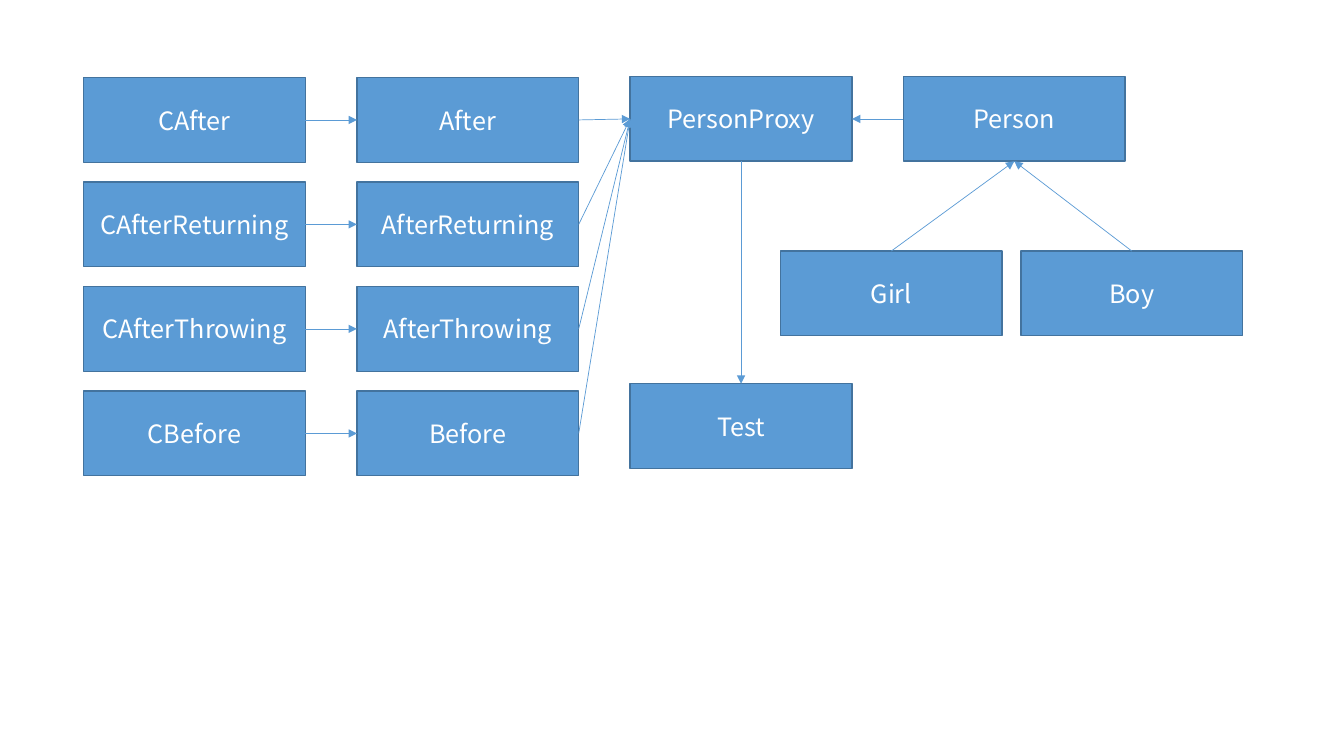
from dataclasses import dataclass

from pptx import Presentation
from pptx.dml.color import RGBColor
from pptx.enum.shapes import MSO_CONNECTOR, MSO_SHAPE
from pptx.enum.text import MSO_ANCHOR, PP_ALIGN
from pptx.oxml.ns import qn
from pptx.shapes.autoshape import Shape
from pptx.slide import Slide
from pptx.util import Inches, Pt
from lxml import etree

RECTANGLE = MSO_SHAPE.RECTANGLE
STRAIGHT = MSO_CONNECTOR.STRAIGHT
MIDDLE = MSO_ANCHOR.MIDDLE
CENTER = PP_ALIGN.CENTER

# Connection sites of a rectangle
TOP, LEFT, BOTTOM, RIGHT = range(4)


@dataclass(frozen=True)
class Theme:
    """Colours, font and sizes of the diagram."""
    box_fill: RGBColor = RGBColor.from_string("5B9BD5")
    box_line: RGBColor = RGBColor.from_string("43739E")
    arrow: RGBColor = RGBColor.from_string("5B9BD5")
    text: RGBColor = RGBColor.from_string("FFFFFF")
    font: str = "Noto Sans CJK KR"
    text_size: Pt = Pt(18)
    box_line_width: Pt = Pt(1)
    arrow_width: Pt = Pt(0.5)


@dataclass(frozen=True)
class Grid:
    """Four columns and four rows of equal boxes, in inches."""
    left: float = 0.83
    top: float = 0.77
    column_step: float = 2.71
    row_step: float = (3.88 - 0.77) / 3
    box_width: float = 2.2
    box_height: float = 0.84


@dataclass(frozen=True)
class ClassBox:
    """A class name at a grid place; fractions lie between grid lines."""
    name: str
    column: float
    row: float


@dataclass(frozen=True)
class Arrow:
    """An arrow from one class box to another."""
    source: str
    source_site: int
    target: str
    target_site: int


THEME = Theme()
GRID = Grid()

ADVICES = ["After", "AfterReturning", "AfterThrowing", "Before"]

BOXES = [
    *(ClassBox("C" + name, 0, row) for row, name in enumerate(ADVICES)),
    *(ClassBox(name, 1, row) for row, name in enumerate(ADVICES)),
    ClassBox("PersonProxy", 2, -0.01),
    ClassBox("Person", 3, -0.01),
    ClassBox("Girl", 2.55, 1.66),
    ClassBox("Boy", 3.43, 1.66),
    ClassBox("Test", 2, 2.93),
]

ARROWS = [
    *(Arrow("C" + name, RIGHT, name, LEFT) for name in ADVICES),
    *(Arrow(name, RIGHT, "PersonProxy", LEFT) for name in ADVICES),
    Arrow("Person", LEFT, "PersonProxy", RIGHT),
    Arrow("Girl", TOP, "Person", BOTTOM),
    Arrow("Boy", TOP, "Person", BOTTOM),
    Arrow("PersonProxy", BOTTOM, "Test", TOP),
]


def draw_box(s: Slide, box: ClassBox) -> Shape:
    """Draw a class box at its grid place."""
    sp = s.shapes.add_shape(
        RECTANGLE,
        Inches(GRID.left + box.column * GRID.column_step),
        Inches(GRID.top + box.row * GRID.row_step),
        Inches(GRID.box_width),
        Inches(GRID.box_height),
    )
    sp.shadow.inherit = False
    sp.fill.solid()
    sp.fill.fore_color.rgb = THEME.box_fill
    sp.line.color.rgb = THEME.box_line
    sp.line.width = THEME.box_line_width
    tf = sp.text_frame
    tf.text = box.name
    tf.word_wrap = True
    tf.vertical_anchor = MIDDLE
    p = tf.paragraphs[0]
    p.alignment = CENTER
    font = p.runs[0].font
    font.name = THEME.font
    font.size = THEME.text_size
    font.color.rgb = THEME.text
    return sp


def draw_arrow(s: Slide, arrow: Arrow, shapes: dict[str, Shape]) -> None:
    """Connect two boxes with an arrow that ends in a triangle."""
    line = s.shapes.add_connector(STRAIGHT, 0, 0, 0, 0)
    line.begin_connect(shapes[arrow.source], arrow.source_site)
    line.end_connect(shapes[arrow.target], arrow.target_site)
    line.line.color.rgb = THEME.arrow
    line.line.width = THEME.arrow_width
    ln = line._element.spPr.find(qn("a:ln"))
    etree.SubElement(ln, qn("a:tailEnd"), type="triangle")
    etree.SubElement(line._element.spPr, qn("a:effectLst"))


def main() -> None:
    """Build the class diagram slide."""
    prs = Presentation()
    prs.slide_width, prs.slide_height = Inches(13.33), Inches(7.5)
    s = prs.slides.add_slide(prs.slide_layouts[6])
    shapes = {box.name: draw_box(s, box) for box in BOXES}
    for arrow in ARROWS:
        draw_arrow(s, arrow, shapes)
    prs.save("out.pptx")


main()
